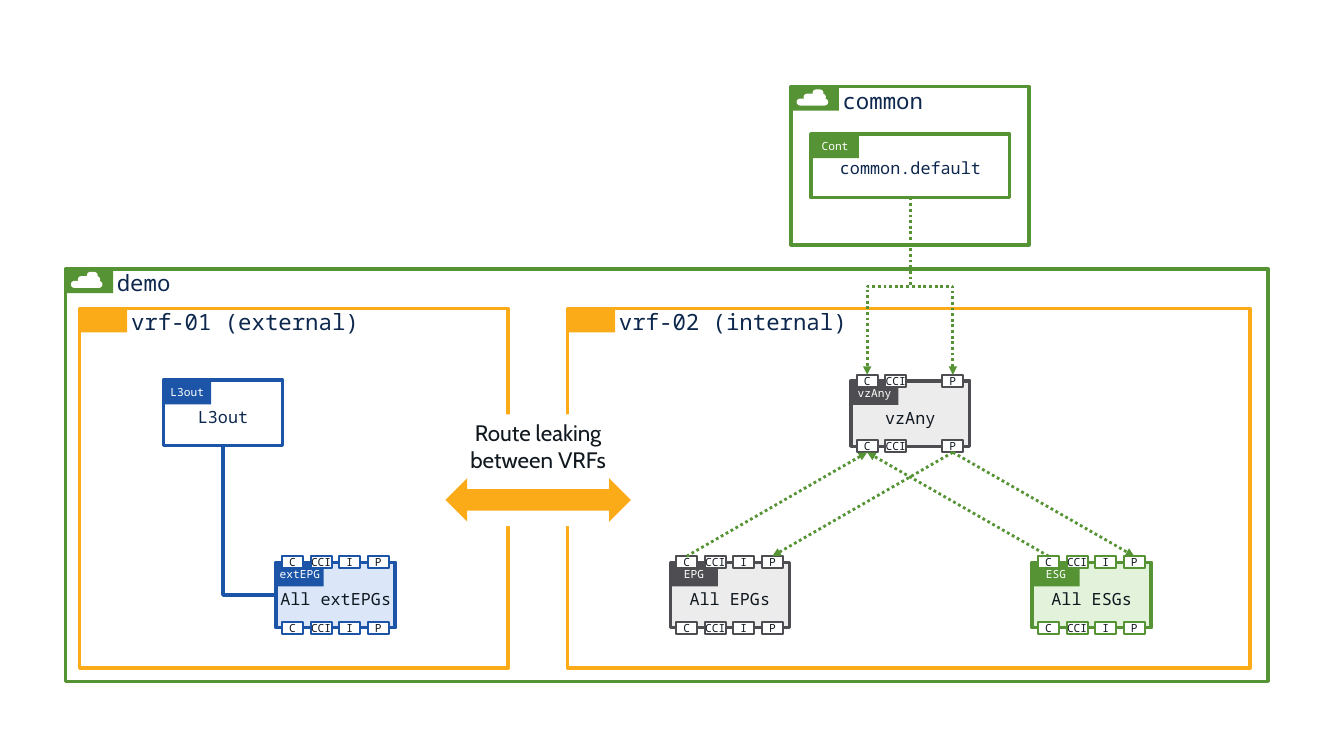
"""Build a slide on contracts and route leaking between two VRFs."""
from lxml import etree
from pptx import Presentation
from pptx import util as u
from pptx.dml.color import RGBColor
from pptx.enum import dml, shapes, text
from pptx.oxml.ns import qn

COLORS = {
    "green": "569334", "orange": "FBAB18", "gray": "4E4E52", "blue": "1C54A7",
    "pale_green": "E3F2DB", "pale_gray": "ECECEC", "pale_blue": "DBE7F9",
    "navy": "0D274D", "ink": "101820", "white": "FFFFFF",
}
MONO, SANS = "Noto Sans Mono", "Cabin"
SLIDE_SIZE = (960, 540)

FRAMES = [
    ("common", (565.2, 61.9, 169.9, 113), "green", True),
    ("demo", (46.8, 192.2, 859, 294.5), "green", True),
    ("vrf-02 (internal)", (405.4, 220.3, 487.4, 257), "orange", False),
    ("vrf-01 (external)", (56.9, 220.3, 306, 257), "orange", False),
]
CONTRACT = ("common.default", "Cont", (579.5, 95.8, 141.8, 45.4))
ALL_PORTS = {"C": 0, "CCI": 1, "I": 2, "P": 3}
ANY_PORTS = {"C": 0, "CCI": 1, "P": 3}
NODES = {
    "L3out": ("L3out", (116.8, 271.6), "blue", None, "navy", {}),
    "extEPG": ("All extEPGs", (197.3, 401.6), "blue", "pale_blue", "ink", ALL_PORTS),
    "vzAny": ("vzAny", (607.7, 272), "gray", "pale_gray", "ink", ANY_PORTS),
    "EPG": ("All EPGs", (478.8, 401.6), "gray", "pale_gray", "ink", ALL_PORTS),
    "ESG": ("All ESGs", (737.3, 401.6), "green", "pale_green", "ink", ALL_PORTS),
}
PORT_LINKS = [
    (("EPG", "C", "top"), ("vzAny", "C", "bottom")),
    (("ESG", "C", "top"), ("vzAny", "C", "bottom")),
    (("vzAny", "P", "bottom"), ("EPG", "P", "top")),
    (("vzAny", "P", "bottom"), ("ESG", "P", "top")),
]
CONTRACT_TARGETS = [("vzAny", "C", "top"), ("vzAny", "P", "top")]
NOTE = "Route leaking between VRFs"
NOTE_BOX = (318.2, 295.9, 132.5, 79.9)
ARROW_BOX = (318.2, 341.6, 132.5, 31)

NODE_W, NODE_H = 85, 46.8
TAG_W, TAG_H = 34, 17.2
PORT_W, PORT_H, PORT_INSET, PORT_STEP = 15, 8.6, 4.2, 20.4
CLOUD_BARS = [(3.8, 8.5, 22.6), (8.8, 5, 16), (15.2, 2, 7.8)]
CLOUD_BAR_H = 5

presentation = Presentation()
presentation.slide_width, presentation.slide_height = map(u.Pt, SLIDE_SIZE)
slide = presentation.slides.add_slide(presentation.slide_layouts[6])


def rgb(name):
    return RGBColor.from_string(COLORS[name])


def add_box(box, fill=None, line=None, width=2.5, kind=shapes.MSO_SHAPE.RECTANGLE):
    shape = slide.shapes.add_shape(kind, *map(u.Pt, box))
    shape.shadow.inherit = False
    if fill:
        shape.fill.solid()
        shape.fill.fore_color.rgb = rgb(fill)
    else:
        shape.fill.background()
    if line:
        shape.line.color.rgb = rgb(line)
        shape.line.width = u.Pt(width)
    else:
        shape.line.fill.background()
    return shape


def write(shape, words, size, color, font=MONO, margins=(0, 0, 0, 0), wrap=True,
          anchor=text.MSO_ANCHOR.MIDDLE, align=text.PP_ALIGN.CENTER):
    frame = shape.text_frame
    sides = ("margin_left", "margin_top", "margin_right", "margin_bottom")
    settings = dict(zip(sides, map(u.Pt, margins)), word_wrap=wrap, vertical_anchor=anchor)
    for name, value in settings.items():
        setattr(frame, name, value)
    paragraph = frame.paragraphs[0]
    paragraph.alignment = align
    run = paragraph.add_run()
    run.text = words
    for name, value in {"name": font, "size": u.Pt(size)}.items():
        setattr(run.font, name, value)
    run.font.color.rgb = rgb(color)


def add_tag(left, top, color, words=None):
    tag = add_box((left, top, TAG_W, TAG_H), color)
    if words:
        write(tag, words, 8, "white", wrap=False)


def add_frame(title, box, color, has_cloud):
    left, top = box[:2]
    write(add_box(box, line=color), title, 16, "navy", margins=(36.7, 0, 17, 3),
          anchor=text.MSO_ANCHOR.TOP, align=text.PP_ALIGN.LEFT)
    add_tag(left, top, color)
    for dx, dy, width in CLOUD_BARS if has_cloud else ():
        bar = add_box((left + dx, top + dy, width, CLOUD_BAR_H), "white",
                      kind=shapes.MSO_SHAPE.ROUNDED_RECTANGLE)
        bar.adjustments[0] = 0.5


def add_node(tag, title, corner, color, fill, ink, ports):
    left, top = corner
    write(add_box((left, top, NODE_W, NODE_H), fill, color), title, 12, ink,
          margins=(0, 6, 0, 0))
    add_tag(left, top, color, tag)
    for edge in (top, top + NODE_H):
        for name, slot in ports.items():
            box = (left + PORT_INSET + slot * PORT_STEP, edge - PORT_H / 2, PORT_W, PORT_H)
            write(add_box(box, "white", color, 1.5), name, 8, "ink", wrap=False)


def port_point(node, port, side):
    left, top = NODES[node][1]
    x = left + PORT_INSET + ALL_PORTS[port] * PORT_STEP + PORT_W / 2
    return x, top - PORT_H / 2 if side == "top" else top + NODE_H + PORT_H / 2


def style_link(connector, color, width, dotted):
    connector.line.color.rgb = rgb(color)
    connector.line.width = u.Pt(width)
    properties = connector._element.spPr
    if dotted:
        connector.line.dash_style = dml.MSO_LINE.ROUND_DOT
        etree.SubElement(properties.find(qn("a:ln")), qn("a:tailEnd"), type="triangle")
    etree.SubElement(properties, qn("a:effectLst"))


def add_straight(start, end):
    connector = slide.shapes.add_connector(
        shapes.MSO_CONNECTOR.STRAIGHT, *map(u.Pt, start + end))
    style_link(connector, "green", 2, True)


def add_downward_elbow(start, end, color, width, preset="bentConnector3", dotted=True):
    (x1, y1), (x2, y2) = start, end
    middle_x, middle_y = (x1 + x2) / 2, (y1 + y2) / 2
    half_w, half_h = (y2 - y1) / 2, abs(x2 - x1) / 2
    side = 1 if x2 > x1 else -1
    ends = (middle_x + side * half_w, middle_y - half_h,
            middle_x - side * half_w, middle_y + half_h)
    connector = slide.shapes.add_connector(shapes.MSO_CONNECTOR.ELBOW, *map(u.Pt, ends))
    properties = connector._element.spPr
    properties.find(qn("a:xfrm")).set("rot", str((270 if side > 0 else 90) * 60000))
    properties.find(qn("a:prstGeom")).set("prst", preset)
    style_link(connector, color, width, dotted)


for frame_row in FRAMES:
    add_frame(*frame_row)

contract_title, contract_tag, contract_box = CONTRACT
write(add_box(contract_box, line="green"), contract_title, 12, "navy", margins=(0, 3, 0, 0))
add_tag(*contract_box[:2], "green", contract_tag)

for node_tag, node in NODES.items():
    add_node(node_tag, *node)

for source, target in PORT_LINKS:
    add_straight(port_point(*source), port_point(*target))

left, top, width, height = contract_box
for target in CONTRACT_TARGETS:
    add_downward_elbow((left + width / 2, top + height), port_point(*target), "green", 2)

l3out_left, l3out_top = NODES["L3out"][1]
epg_left, epg_top = NODES["extEPG"][1]
add_downward_elbow((l3out_left + NODE_W / 2, l3out_top + NODE_H),
                   (epg_left, epg_top + NODE_H / 2), "blue", 2.5, "bentConnector2", False)

write(add_box(NOTE_BOX, "white"), NOTE, 16, "ink", SANS, (7.2, 3.6, 7.2, 3.6),
      anchor=text.MSO_ANCHOR.TOP)
add_box(ARROW_BOX, "orange", kind=shapes.MSO_SHAPE.LEFT_RIGHT_ARROW)

presentation.save("out.pptx")
